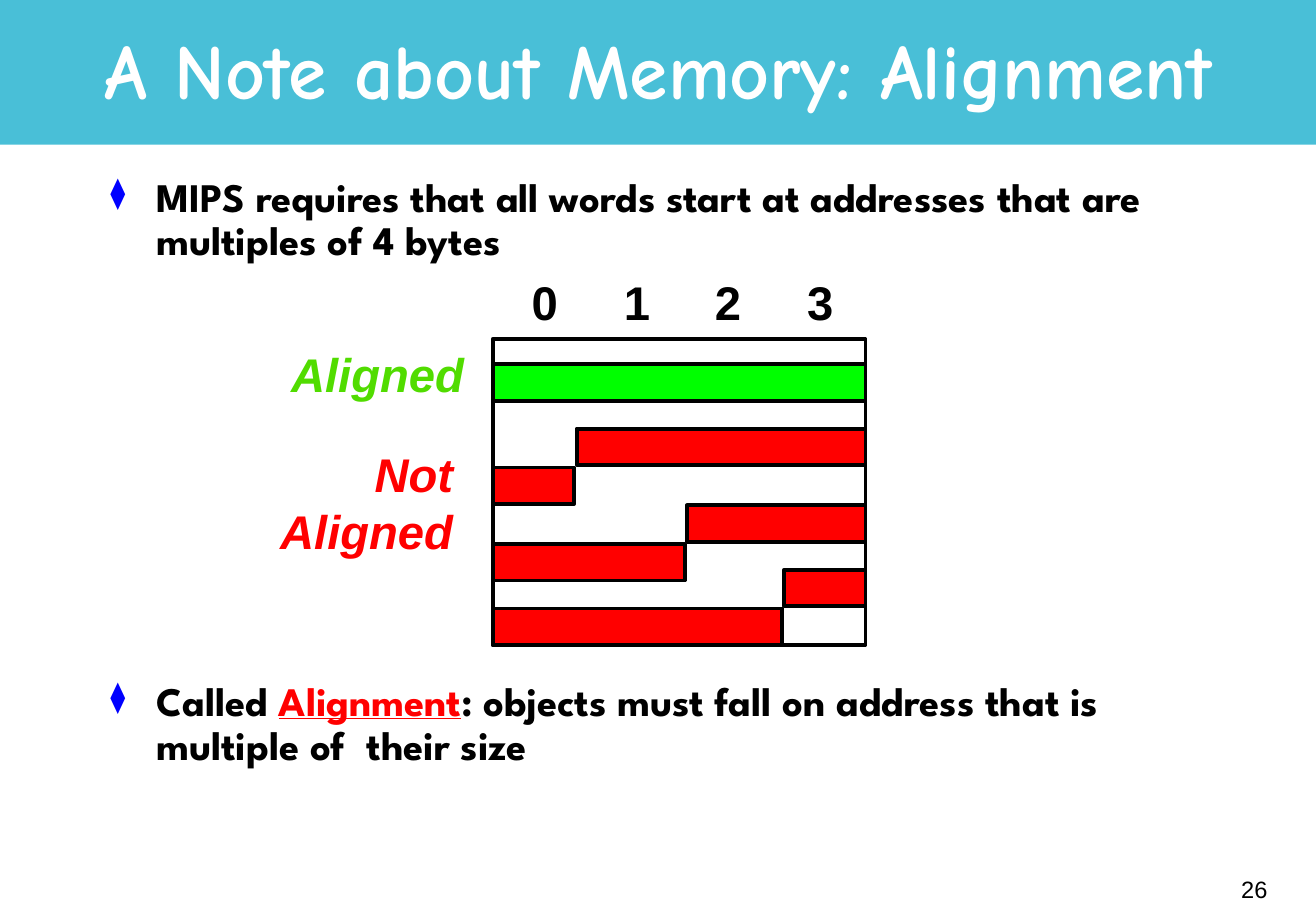
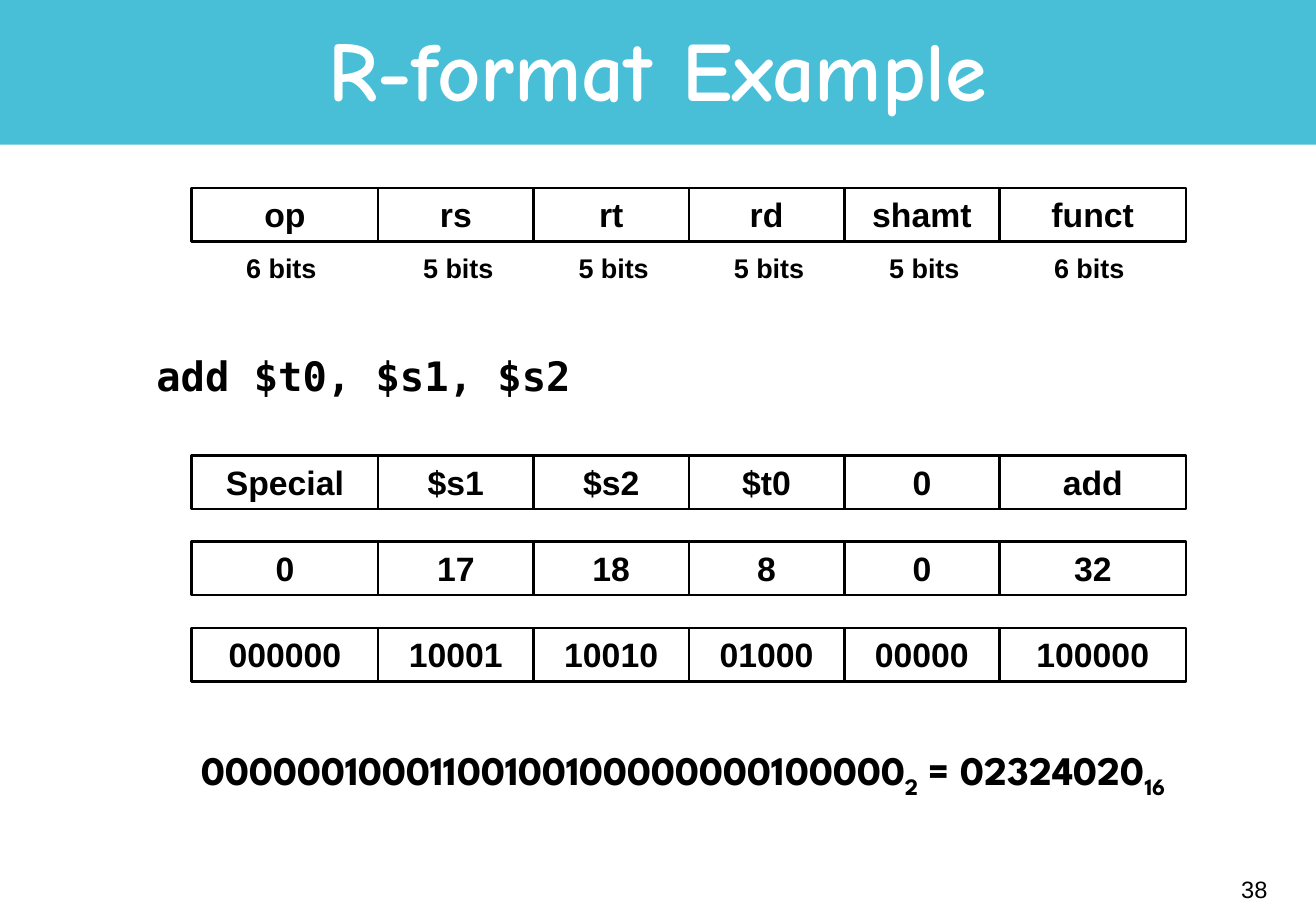
from pptx import Presentation
from pptx.dml.color import RGBColor
from pptx.enum.shapes import MSO_SHAPE as Kind
from pptx.enum.text import MSO_ANCHOR as Anchor, PP_ALIGN as Align
from pptx.oxml.xmlchemy import OxmlElement as Node
from pptx.util import Inches, Pt


def color(code):
    return RGBColor.from_string(code)


class Deck:
    SANS, HEAD, BODY, CODE = "Arial", "Comic Neue", "League Spartan", "DejaVu Sans Mono"
    BAND, BLACK, WHITE = "49BFD7", "000000", "FFFFFF"
    RED, GREEN, LEAF, BLUE = "FF0000", "00FF00", "51DC00", "0000FF"
    WIDE, HIGH = 10.84, 7.5
    HANG = 0.38

    def __init__(self):
        self.file = Presentation()
        self.file.slide_width = Inches(self.WIDE)
        self.file.slide_height = Inches(self.HIGH)
        self.page = None

    def slide(self, title, size, number):
        """Start a slide with its band, title and number."""
        self.page = self.file.slides.add_slide(self.file.slide_layouts[6])
        self.box(0, 0, self.WIDE, 1.19, fill=self.BAND)
        self.text(0, 0.13, self.WIDE, 0.99, title, size=size, font=self.HEAD,
                  tint=self.WHITE, align=Align.CENTER, anchor=Anchor.MIDDLE, lead=0.85)
        self.text(8.28, 7.14, 2.26, 0.36, number, size=14, bold=False,
                  align=Align.RIGHT, anchor=Anchor.MIDDLE)

    def box(self, x, y, w, h, fill=None, line=None):
        """Draw a plain rectangle; line is its width in points."""
        shape = self.page.shapes.add_shape(
            Kind.RECTANGLE, Inches(x), Inches(y), Inches(w), Inches(h))
        shape.shadow.inherit = False
        if fill:
            shape.fill.solid()
            shape.fill.fore_color.rgb = color(fill)
        else:
            shape.fill.background()
        if line:
            shape.line.color.rgb = color(self.BLACK)
            shape.line.width = Pt(line)
        else:
            shape.line.fill.background()
        return shape

    def cell(self, x, y, w, h, label):
        """Draw an outlined field with a centred label."""
        shape = self.box(x, y, w, h, line=1.5)
        self.label(shape.text_frame, label, size=20, align=Align.CENTER)

    def text(self, x, y, w, h, lines, **style):
        """Add a text box and return its paragraphs."""
        shape = self.page.shapes.add_textbox(Inches(x), Inches(y), Inches(w), Inches(h))
        return self.label(shape.text_frame, lines, **style)

    def label(self, frame, lines, size, font=SANS, tint=BLACK, bold=True,
              slant=False, align=Align.LEFT, anchor=Anchor.TOP, lead=None):
        """Fill a text frame and style its runs."""
        frame.text = lines
        frame.word_wrap = True
        frame.vertical_anchor = anchor
        for para in frame.paragraphs:
            para.alignment = align
            if lead:
                para.line_spacing = lead
            for run in para.runs:
                face = run.font
                face.name, face.size = font, Pt(size)
                face.bold, face.italic = bold, slant
                face.color.rgb = color(tint)
        return frame.paragraphs

    def body(self, x, y, w, h, lines, font=BODY, align=Align.LEFT):
        return self.text(x, y, w, h, lines, size=24, font=font, align=align, lead=0.9)

    def indent(self, para, hang=0):
        prop = para._p.get_or_add_pPr()
        prop.set("marL", str(Inches(self.HANG)))
        prop.set("indent", str(-Inches(hang)))
        return prop

    def bullet(self, para):
        """Give a paragraph a hanging blue diamond."""
        prop = self.indent(para, self.HANG)
        tone = Node("a:buClr")
        rgb = Node("a:srgbClr")
        rgb.set("val", self.BLUE)
        tone.append(rgb)
        scale = Node("a:buSzPct")
        scale.set("val", "75000")
        mark = Node("a:buChar")
        mark.set("char", "⧫")
        prop.extend([tone, scale, mark])

    def tabs(self, para, stops):
        group = Node("a:tabLst")
        for stop in stops:
            tab = Node("a:tab")
            tab.set("pos", str(Inches(stop)))
            tab.set("algn", "l")
            group.append(tab)
        para._p.get_or_add_pPr().append(group)

    def extend(self, para, parts):
        """Add further runs that start from the style of the first one."""
        base = para.runs[0].font
        for words, tint, under, drop in parts:
            run = para.add_run()
            run.text = words
            face = run.font
            face.name, face.size, face.bold = base.name, base.size, base.bold
            face.color.rgb = color(tint)
            face.underline = under
            if drop:
                run._r.get_or_add_rPr().set("baseline", "-25000")


def memory(deck):
    deck.slide("A Note about Memory: Alignment", 46, "26")

    # Statements above and below the diagram
    rule, term = deck.body(
        0.81, 1.41, 9.21, 5.5,
        "MIPS requires that all words start at addresses that are multiples of 4 bytes\n"
        "Called ")
    deck.extend(term, [
        ("Alignment", deck.RED, True, False),
        (": objects must fall on address that is multiple of  their size",
         deck.BLACK, False, False)])
    for para in (rule, term):
        deck.bullet(para)
    term.space_before = Pt(247)

    # Byte numbers
    digits = deck.text(4.28, 2.2, 2.85, 0.56, "0\t1\t2\t3", size=28)
    deck.tabs(digits[0], [0.76, 1.51, 2.27])

    # Memory words: one aligned, three broken over two rows
    left, wide, high, gap = 4.06, 3.07, 0.3, 0.02
    deck.box(left, 2.79, wide, 2.52, line=2.25)
    deck.box(left, 3, wide, high, deck.GREEN, 2.25)
    for start, top in ((0.69, 3.53), (1.6, 4.16), (2.4, 4.69)):
        deck.box(left + start, top, wide - start, high, deck.RED, 2.25)
        deck.box(left, top + high + gap, start - gap, high, deck.RED, 2.25)

    # Labels
    for x, y, h, words, tint in ((2.1, 2.79, 0.56, "Aligned", deck.LEAF),
                                 (2.01, 3.62, 1.03, "Not\nAligned", deck.RED)):
        deck.text(x, y, 1.82, h, words, size=28, tint=tint, slant=True, align=Align.RIGHT)


def example(deck):
    deck.slide("R-format Example", 50, "38")

    # Instruction
    code = deck.body(0.81, 2.89, 9.21, 0.7, "add $t0, $s1, $s2", font=deck.CODE)
    deck.indent(code[0])

    # Field rows, each field as wide as its bits
    sizes = (6, 5, 5, 5, 5, 6)
    unit = 8.19 / sum(sizes)
    rows = (
        (1.55, ("op", "rs", "rt", "rd", "shamt", "funct")),
        (3.75, ("Special", "$s1", "$s2", "$t0", "0", "add")),
        (4.46, ("0", "17", "18", "8", "0", "32")),
        (5.17, ("000000", "10001", "10010", "01000", "00000", "100000")),
    )
    for col, bits in enumerate(sizes):
        x, w = 1.58 + unit * sum(sizes[:col]), unit * bits
        for y, labels in rows:
            deck.cell(x, y, w, 0.44, labels[col])
        nudge = 0.02 if bits == 5 else -0.03
        deck.text(x + nudge, 2.02, w, 0.37, f"{bits} bits", size=16, align=Align.CENTER)

    # Machine word
    word = deck.body(0.81, 6.09, 9.64, 0.55, "00000010001100100100000000100000",
                     align=Align.CENTER)
    deck.extend(word[0], [("2", deck.BLACK, False, True),
                          (" = 02324020", deck.BLACK, False, False),
                          ("16", deck.BLACK, False, True)])


def main():
    deck = Deck()
    memory(deck)
    example(deck)
    deck.file.save("out.pptx")


if __name__ == "__main__":
    main()
